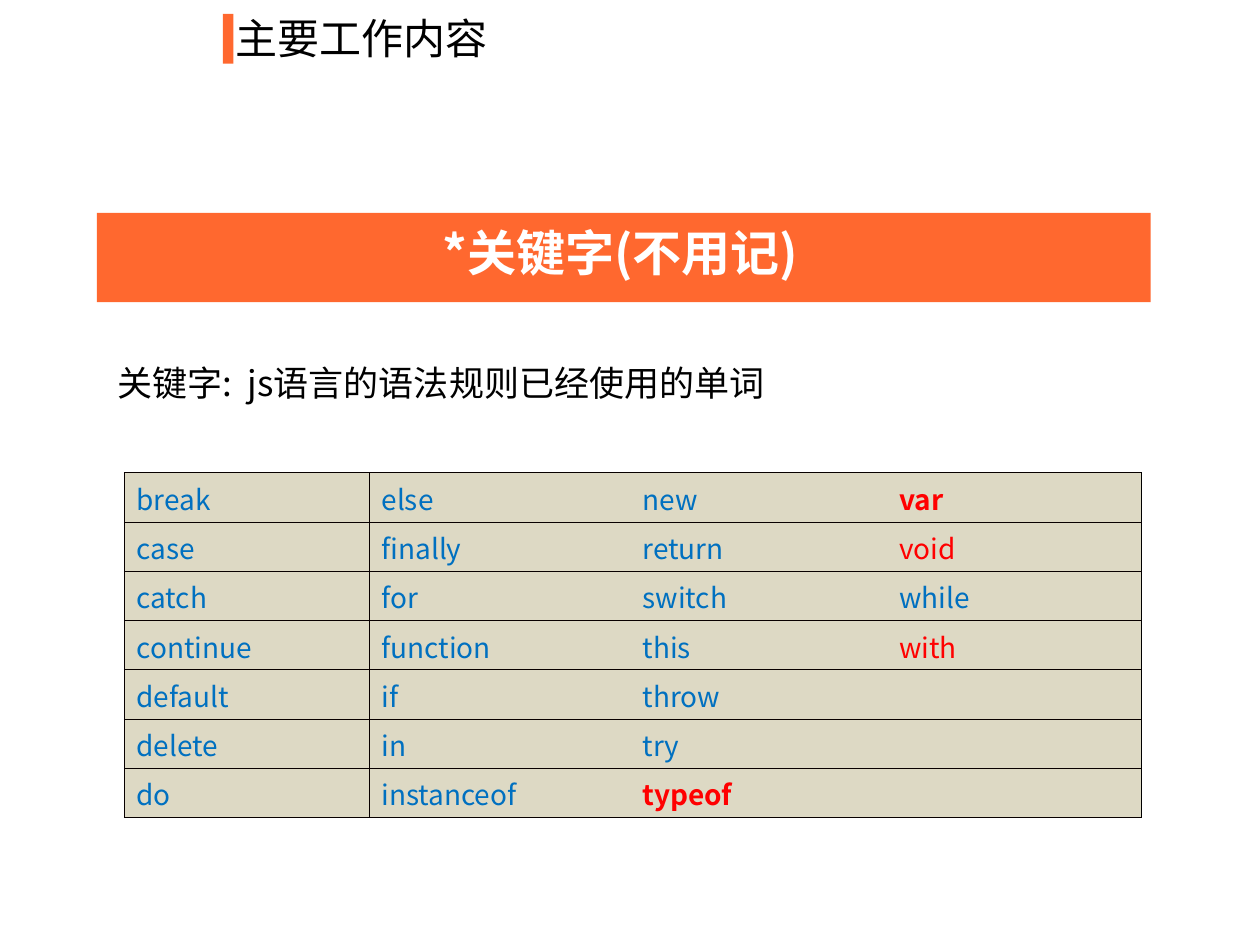
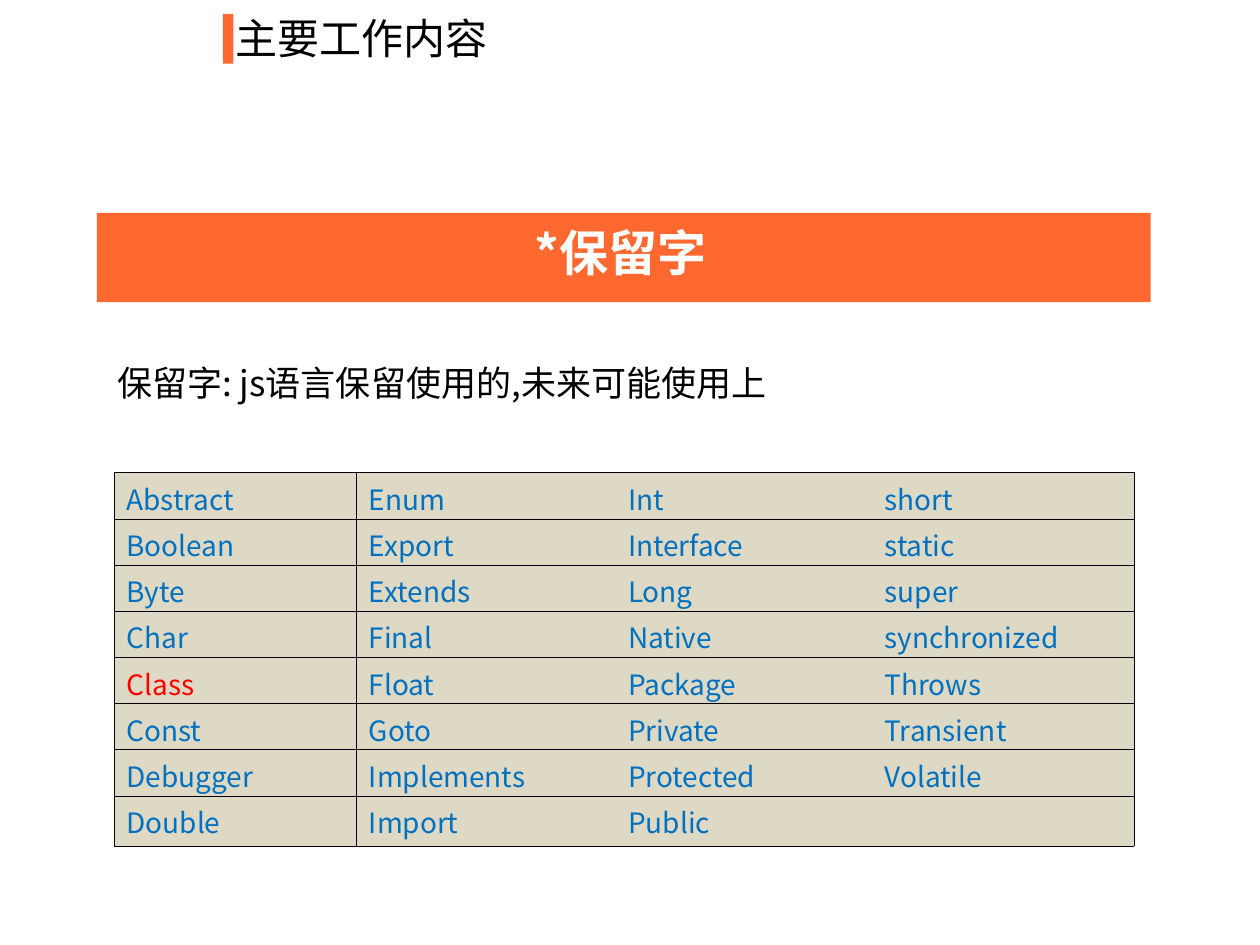
import pptx
import pptx.dml.color
import pptx.enum.shapes
import pptx.enum.text
import pptx.oxml.ns
import pptx.util
from lxml import etree

Pt = pptx.util.Pt
ALIGN = pptx.enum.text.PP_ALIGN
RECTANGLE = pptx.enum.shapes.MSO_SHAPE.RECTANGLE
qn = pptx.oxml.ns.qn


def color(value):
    return pptx.dml.color.RGBColor.from_string(value)


class Deck:
    FONT = "Noto Sans CJK SC"
    ORANGE, BLACK, WHITE = "FF682F", "000000", "FFFFFF"
    WORD, MARKED = "0070C0", "FF0000"
    CELL, RULE = "DDD9C4", "080000"

    def __init__(self):
        self.prs = pptx.Presentation()
        self.prs.slide_width, self.prs.slide_height = Pt(720), Pt(540)
        self.slide = None

    def style(self, paragraph, size, ink, bold=False):
        font = paragraph.font
        font.size, font.bold, font.name = Pt(size), bold, self.FONT
        font.color.rgb = color(ink)
        properties = paragraph._p.pPr.find(qn("a:defRPr"))
        etree.SubElement(properties, qn("a:ea"), typeface=self.FONT)

    def set_text(self, shape, text, size, ink, bold=False, align=ALIGN.LEFT):
        frame = shape.text_frame
        frame.word_wrap = True
        frame.auto_size = pptx.enum.text.MSO_AUTO_SIZE.NONE
        frame.vertical_anchor = pptx.enum.text.MSO_ANCHOR.TOP
        frame.text = text
        paragraph = frame.paragraphs[0]
        paragraph.alignment = align
        self.style(paragraph, size, ink, bold)
        return paragraph

    def title(self, text):
        self.slide = self.prs.slides.add_slide(self.prs.slide_layouts[5])
        title = self.slide.shapes.title
        title.left, title.top, title.width, title.height = map(Pt, (127.4, 3.6, 186, 36))
        self.set_text(title, text, 24, self.BLACK)

    def text(self, box, text, size, ink, **options):
        shape = self.slide.shapes.add_textbox(*map(Pt, box))
        return self.set_text(shape, text, size, ink, **options)

    def block(self, box):
        shape = self.slide.shapes.add_shape(RECTANGLE, *map(Pt, box))
        shape.shadow.inherit = False
        shape.fill.solid()
        shape.fill.fore_color.rgb = color(self.ORANGE)
        shape.line.fill.background()

    def borders(self, cell, **lines):
        """Draw each side given as (width, colour); None hides the side."""
        properties = cell._tc.get_or_add_tcPr()
        for side in "LRTB":
            width, ink = lines[side] or (0, None)
            line = etree.SubElement(properties, qn("a:ln" + side), w=str(int(Pt(width))))
            if ink:
                fill = etree.SubElement(line, qn("a:solidFill"))
                etree.SubElement(fill, qn("a:srgbClr"), val=ink)
            else:
                etree.SubElement(line, qn("a:noFill"))

    def word_table(self, left, widths, heights, columns, marked):
        """Fill a table column by column; marked maps red words to boldness."""
        table = self.slide.shapes.add_table(
            len(heights), len(widths),
            *map(Pt, (left, 270, sum(widths), sum(heights)))).table
        table.first_row = table.horz_banding = False
        for row, height in zip(table.rows, heights):
            row.height = Pt(height)
        thin, edge = (0.23, self.RULE), (0.34, self.BLACK)
        last = len(widths) - 1
        for c, (width, words) in enumerate(zip(widths, columns)):
            table.columns[c].width = Pt(width)
            words = words.split()
            for r in range(len(heights)):
                cell = table.cell(r, c)
                # Only the first column is ruled off from its neighbour
                self.borders(cell, L=thin if c < 2 else None,
                             R=thin if c == 0 else edge if c == last else None,
                             T=thin, B=thin)
                cell.fill.solid()
                cell.fill.fore_color.rgb = color(self.CELL)
                cell.margin_top, cell.margin_bottom = Pt(3.2), 0
                if r < len(words):
                    word = words[r]
                    cell.text = word
                    self.style(cell.text_frame.paragraphs[0], 16,
                               self.MARKED if word in marked else self.WORD,
                               marked.get(word, False))

    def word_slide(self, heading, definition, **table):
        self.title("主要工作内容")
        self.block((127.4, 8, 6, 28.4))
        # Heading band
        self.block((55.4, 121.6, 602.2, 51))
        self.text((218.9, 123.8, 271.4, 41), heading, 28, self.WHITE,
                  bold=True, align=ALIGN.CENTER)
        # Definition and word list
        self.text((59.8, 190.8, 595.4, 43.2), definition, 20, self.BLACK).line_spacing = 1.5
        self.word_table(**table)


def main():
    deck = Deck()

    # Keywords
    deck.word_slide(
        "*关键字(不用记)", "关键字:  js语言的语法规则已经使用的单词",
        left=70.9, widths=(140, 149.2, 146.6, 145.8), heights=[28.15] * 7,
        columns=("break case catch continue default delete do",
                 "else finally for function if in instanceof",
                 "new return switch this throw try typeof",
                 "var void while with"),
        marked={"var": True, "void": False, "with": False, "typeof": True})

    # Reserved words
    deck.word_slide(
        "*保留字", "保留字: js语言保留使用的,未来可能使用上",
        left=65.2, widths=(138.4, 148.2, 146.6, 149.6), heights=[26.4] * 7 + [28.6],
        columns=("Abstract Boolean Byte Char Class Const Debugger Double",
                 "Enum Export Extends Final Float Goto Implements Import",
                 "Int Interface Long Native Package Private Protected Public",
                 "short static super synchronized Throws Transient Volatile"),
        marked={"Class": False})

    deck.prs.save("out.pptx")


if __name__ == "__main__":
    main()
